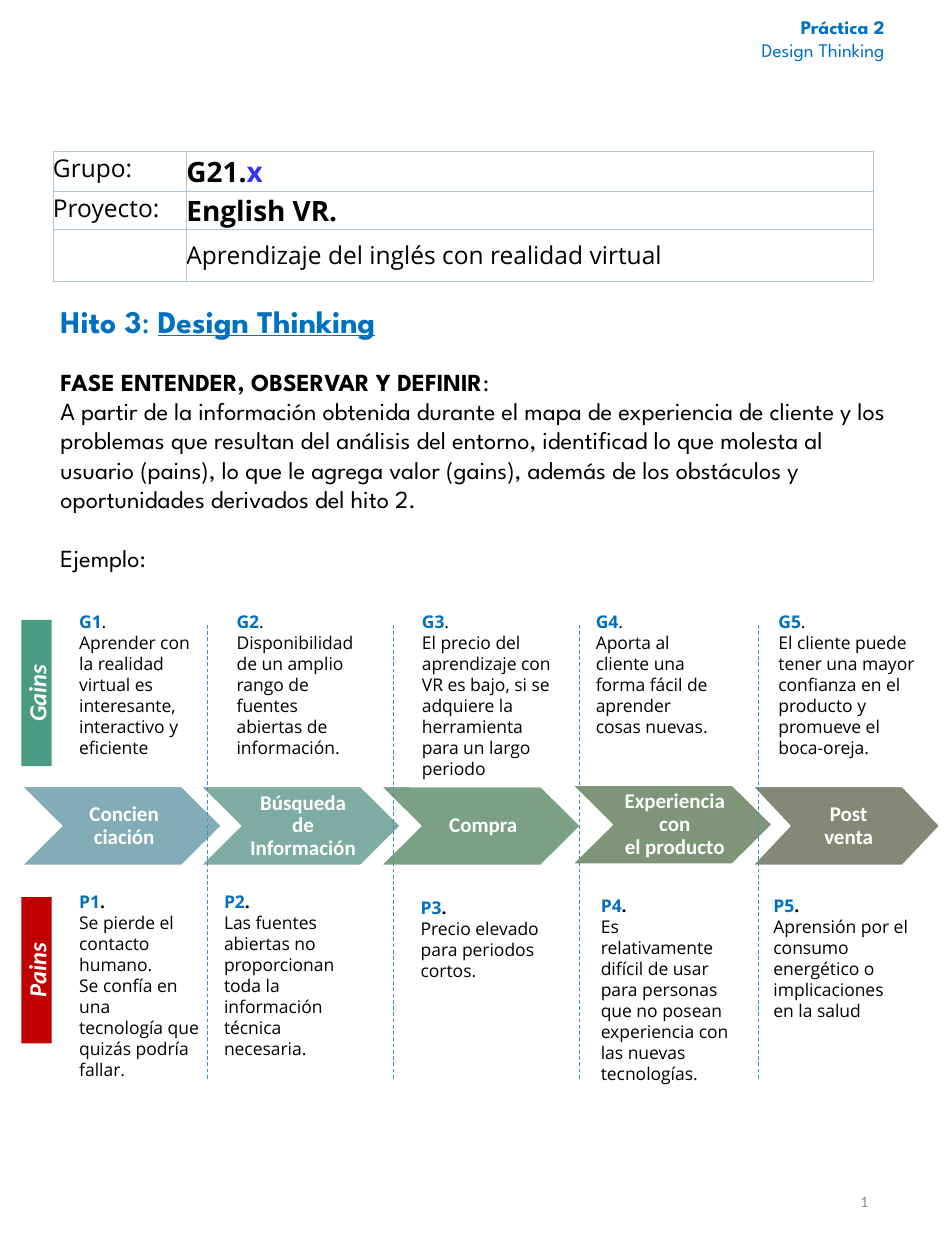
from copy import deepcopy
from pptx import Presentation
from pptx.dml.color import RGBColor
from pptx.enum import dml, shapes, text
from pptx.oxml import parse_xml
from pptx.oxml.ns import nsdecls
from pptx.util import Inches, Pt

THEME = dict(head="League Spartan", body="Open Sans", art="Calibri",
             blue="0070C0", black="000000", white="FFFFFF", grey="8C8C8C",
             dash="3494BA", grid="B1C6D7", mark="3333FF",
             tiny=9, note=10, top=11, step=12, text=14, big=16, title=18)
T = THEME
LEFT, MID, RIGHT = text.PP_ALIGN.LEFT, text.PP_ALIGN.CENTER, text.PP_ALIGN.RIGHT
TOP, CENTER = text.MSO_ANCHOR.TOP, text.MSO_ANCHOR.MIDDLE

INTRO = ("A partir de la información obtenida durante el mapa de experiencia de "
         "cliente y los problemas que resultan del análisis del entorno, identificad "
         "lo que molesta al usuario (pains), lo que le agrega valor (gains), además "
         "de los obstáculos y oportunidades derivados del hito 2.")

# each cell: runs of (words, size, bold, colour)
ROWS = [
    (0.32, [("Grupo:", T["text"], False, T["black"])],
     [("G21.", T["big"], True, T["black"]), ("x", T["big"], True, T["mark"])]),
    (0.30, [("Proyecto:", T["text"], False, T["black"])],
     [("English VR.", T["big"], True, T["black"])]),
    (0.41, [], [("Aprendizaje del inglés con realidad virtual",
                 T["text"], False, T["black"])]),
]

STEPS = [  # left, top, width, fill, words
    (0.17, 6.24, 1.59, "84ACB6", "Concien\nciación"),
    (1.59, 6.24, 1.59, "7FACA0", "Búsqueda de\nInformación"),
    (3.02, 6.24, 1.59, "7BA185", "Compra"),
    (4.54, 6.23, 1.59, "7E9578", "Experiencia con\nel producto"),
    (5.97, 6.24, 1.49, "838975", "Post\nventa"),
]
SPLITS = [1.65, 3.12, 4.6, 6.02]

GAINS = [  # left, top, width, height, words after the tag
    (0.53, 4.8, 1.15, 1.28, [". \nAprender con la realidad virtual es interesante, "
                             "interactivo y eficiente"]),
    (1.78, 4.8, 1.2, 1.28, [". Disponibilidad de un amplio rango de",
                            "fuentes abiertas de información."]),
    (3.25, 4.8, 1.25, 1.45, [".", "El precio del aprendizaje con VR es bajo, si se "
                             "adquiere la", "herramienta para un largo periodo"]),
    (4.63, 4.8, 1.15, 1.11, [".", "Aporta al cliente una forma fácil de aprender "
                             "cosas nuevas."]),
    (6.08, 4.8, 1.36, 1.28, [".", "El cliente puede tener una mayor confianza en el "
                             "producto y promueve el \nboca-oreja."]),
]
PAINS = [
    (0.53, 7.02, 1.15, 1.62, [".", "Se pierde el contacto humano.", "Se confía en una",
                              "tecnología que quizás podría fallar."]),
    (1.68, 7.02, 1.24, 1.45, [".", "Las fuentes", "abiertas no proporcionan toda la "
                              "información técnica necesaria."]),
    (3.24, 7.07, 1.25, 0.77, [".", "Precio elevado para periodos cortos."]),
    (4.67, 7.05, 1.25, 1.62, [".", "Es relativamente difícil de usar para personas "
                              "que no posean", "experiencia con las nuevas tecnologías."]),
    (6.04, 7.05, 1.42, 1.28, [".", "Aprensión por el consumo energético o "
                              "implicaciones \nen la salud"]),
]
BANDS = [("Gains", 5.38, "4A9B83"), ("Pains", 7.58, "C00000")]


def rgb(code):
    return RGBColor.from_string(code)


def add(para, words, font, size, color, bold=False, **more):
    """Add a run; a newline in the words becomes a line break of the same size."""
    for i, line in enumerate(words.split("\n")):
        if i:
            para.add_line_break()
            para._p[-1].append(deepcopy(run._r.rPr))
        run = para.add_run()
        run.text = line
        f = run.font
        f.name, f.size, f.bold = font, Pt(size), bold
        f.color.rgb = rgb(color)
        for key, val in more.items():
            setattr(f, key, val)


def frame(shape, align=LEFT, anchor=TOP, pad=(0.1, 0.05, 0.1, 0.05), wrap=True):
    """Lay out the text area and return it with its first paragraph."""
    tf = shape.text_frame
    tf.word_wrap, tf.auto_size = wrap, text.MSO_AUTO_SIZE.NONE
    tf.vertical_anchor = anchor
    tf.margin_left, tf.margin_top, tf.margin_right, tf.margin_bottom = map(Inches, pad)
    tf.paragraphs[0].alignment = align
    return tf, tf.paragraphs[0]


def paint(shape, fill, line=None):
    shape.shadow.inherit = False
    shape.fill.solid()
    shape.fill.fore_color.rgb = rgb(fill)
    if line:
        shape.line.color.rgb = rgb(line)
        shape.line.width = Pt(1)
    else:
        shape.line.fill.background()


def place(shape, *box):
    shape.left, shape.top, shape.width, shape.height = map(Inches, box)


def box(*at):
    return art.add_textbox(*map(Inches, at))


def rect(*at):
    return art.add_shape(shapes.MSO_SHAPE.RECTANGLE, *map(Inches, at))


def heads():
    _, p = frame(box(5.8, 0.07, 1.32, 0.47), RIGHT, wrap=False)
    add(p, "Práctica 2", T["head"], T["top"], T["blue"], True)
    p.add_line_break()
    add(p, "Design Thinking", T["head"], T["top"], T["blue"])

    title = slide.shapes.title
    place(title, 0.38, 2.38, 6.7, 0.47)
    _, p = frame(title)
    p.line_spacing, p.space_after = 0.9, Pt(6)
    add(p, "Hito 3", T["head"], T["title"], T["blue"], True)
    add(p, ": ", T["head"], T["title"], T["blue"])
    add(p, "Design Thinking", T["head"], T["title"], T["blue"], True, underline=True)

    body = slide.placeholders[1]
    place(body, 0.38, 2.86, 6.78, 1.75)
    tf, p = frame(body)
    add(p, "FASE ENTENDER, OBSERVAR Y DEFINIR", T["head"], T["text"], T["black"], True)
    add(p, ": \n" + INTRO, T["head"], T["text"], T["black"])
    last = tf.add_paragraph()
    add(last, "Ejemplo:", T["head"], T["text"], T["black"])
    for p, gap in ((p, 0), (last, 17)):
        p.space_before = Pt(gap)
        ppr = p._p.get_or_add_pPr()
        ppr.set("marL", "0")
        ppr.set("indent", "0")
        ppr.append(parse_xml("<a:buNone %s/>" % nsdecls("a")))


def grid():
    tab = art.add_table(3, 2, *map(Inches, (0.42, 1.2, 6.51, 1.03))).table
    tab.first_row = tab.horz_banding = False
    for col, wide in zip(tab.columns, (1.06, 5.45)):
        col.width = Inches(wide)
    for r, (high, *cells) in enumerate(ROWS):
        tab.rows[r].height = Inches(high)
        for c, runs in enumerate(cells):
            cell = tab.cell(r, c)
            cell.margin_left = cell.margin_right = 0
            cell.margin_top = cell.margin_bottom = 0
            cell.vertical_anchor = CENTER if c else TOP
            for side in "LRTB":
                cell._tc.get_or_add_tcPr().append(parse_xml(
                    '<a:ln%s %s w="3175"><a:solidFill><a:srgbClr val="%s"/>'
                    '</a:solidFill></a:ln%s>' % (side, nsdecls("a"), T["grid"], side)))
            cell.fill.solid()
            cell.fill.fore_color.rgb = rgb(T["white"])
            for words, size, bold, color in runs:
                add(cell.text_frame.paragraphs[0], words, T["body"], size, color, bold)


def step(x, y, wide, fill, words, high=0.63):
    tip = wide / 5
    pts = [(x, y), (x + wide - tip, y), (x + wide, y + high / 2),
           (x + wide - tip, y + high), (x, y + high), (x + tip, y + high / 2)]
    pts = [(Inches(a), Inches(b)) for a, b in pts]
    path = art.build_freeform(*pts[0])
    path.add_line_segments(pts[1:], close=True)
    arrow = path.convert_to_shape()
    paint(arrow, fill, T["white"])
    _, p = frame(arrow, MID, CENTER, (0.37, 0.02, 0.33, 0.02))
    p.line_spacing = 0.9
    add(p, words, T["art"], T["step"], T["white"], True)


def split(x):
    line = art.add_connector(shapes.MSO_CONNECTOR.STRAIGHT,
                             *map(Inches, (x, 4.96, x, 8.58)))
    line.line.color.rgb = rgb(T["dash"])
    line.line.width = Pt(0.5)
    line.line.dash_style = dml.MSO_LINE.DASH
    line._element.spPr.append(parse_xml("<a:effectLst %s/>" % nsdecls("a")))


def card(tag, at, parts, bold, solid):
    """Add a note; bold sets the weight of the dot after its tag."""
    note = rect(*at) if solid else box(*at)
    if solid:
        paint(note, T["white"])
    tf, p = frame(note)
    add(p, tag, T["body"], T["note"], T["blue"], True)
    add(p, parts[0], T["body"], T["note"], T["black"], bold)
    for words in parts[1:]:
        p = tf.add_paragraph()
        p.alignment = LEFT
        add(p, words, T["body"], T["note"], T["black"])


def band(words, y, fill):
    bar = rect(-0.29, y, 1.16, 0.24)
    bar.rotation = 270
    paint(bar, fill)
    _, p = frame(bar, MID, CENTER, (0.04, 0, 0.04, 0))
    add(p, words, T["art"], T["text"], T["white"], True, italic=True)


deck = Presentation()
deck.slide_width, deck.slide_height = Inches(7.5), Inches(10)
slide = deck.slides.add_slide(deck.slide_layouts[1])
art = slide.shapes

heads()
for item in STEPS:
    step(*item)
for x in SPLITS:
    split(x)
for letter, notes in (("G", GAINS), ("P", PAINS)):
    for i, (*at, parts) in enumerate(notes):
        card(f"{letter}{i + 1}", at, parts, letter == "P", i > 0)
grid()
_, page = frame(box(5.3, 9.27, 1.69, 0.53), RIGHT, CENTER)
add(page, "1", T["art"], T["tiny"], T["grey"])
for item in BANDS:
    band(*item)
deck.save("out.pptx")
